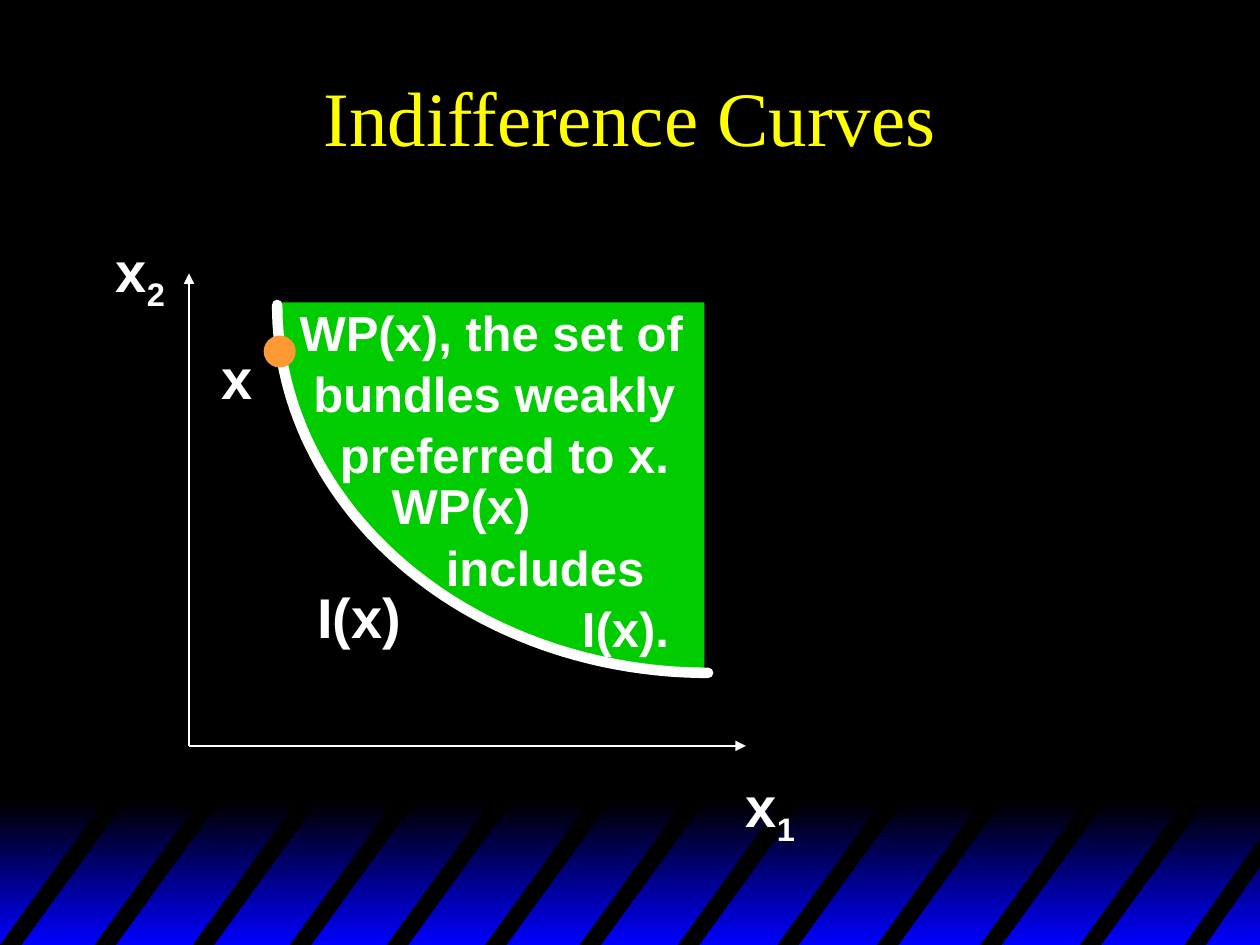
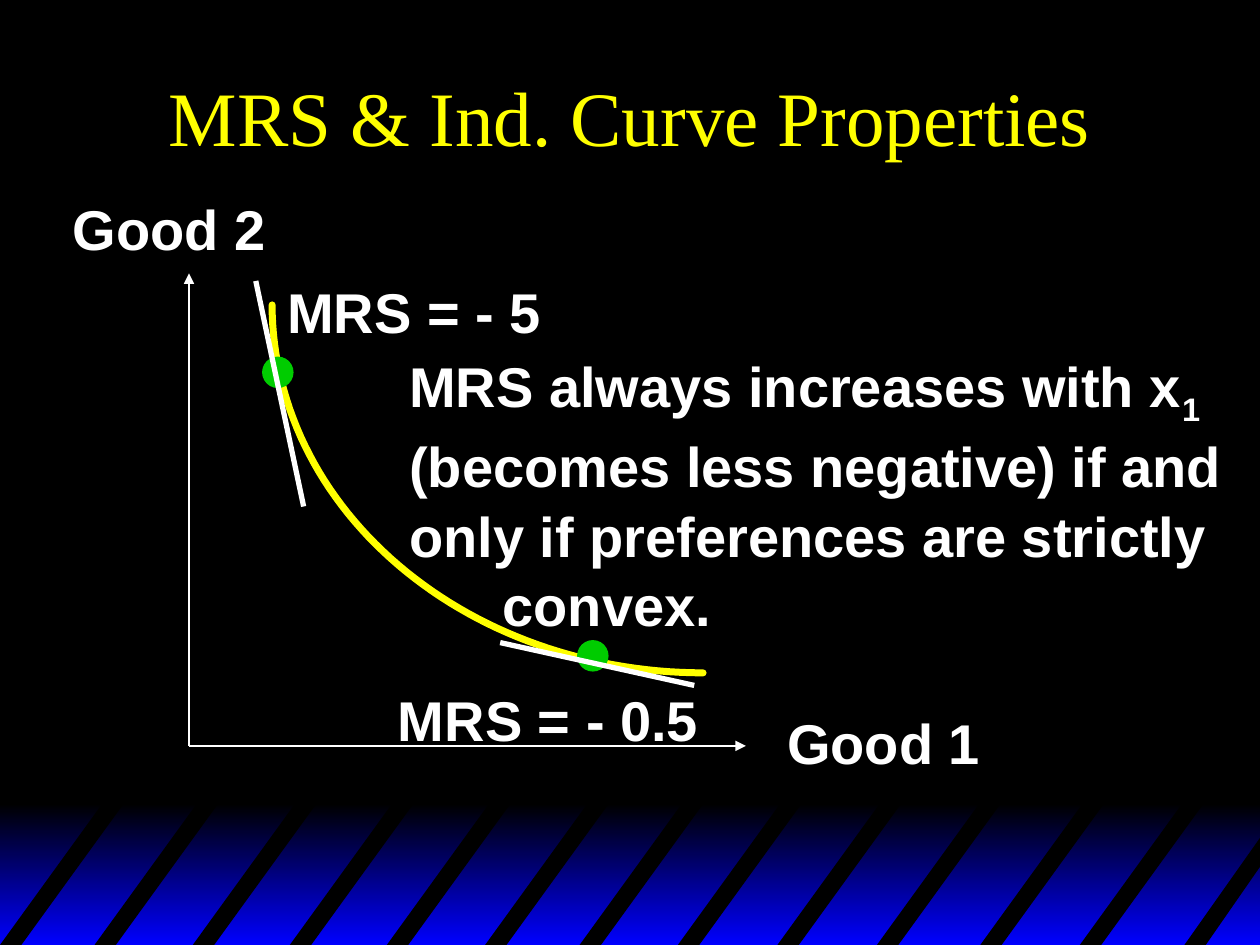
"""Build two slides on indifference curves and the marginal rate of substitution."""
from dataclasses import dataclass
from math import cos, pi, sin

from lxml import etree
from pptx import Presentation
from pptx.dml.color import RGBColor
from pptx.enum import shapes, text
from pptx.oxml import ns
from pptx.util import Inches, Pt


@dataclass(frozen=True)
class Theme:
    black: RGBColor = RGBColor(0x00, 0x00, 0x00)
    blue: RGBColor = RGBColor(0x00, 0x00, 0xFF)
    white: RGBColor = RGBColor(0xFF, 0xFF, 0xFF)
    yellow: RGBColor = RGBColor(0xFF, 0xFF, 0x00)
    green: RGBColor = RGBColor(0x00, 0xCC, 0x00)
    orange: RGBColor = RGBColor(0xFF, 0x99, 0x33)
    title_font: str = "Times New Roman"
    label_font: str = "Arial"
    title_size: int = 44
    label_size: int = 32
    note_size: int = 28
    line_spacing: float = 1.04


STRIPE_LEFTS = (0, 0.75, 1.53, 2.3, 3.07, 3.85, 4.6, 5.38, 6.17, 6.96, 7.78, 8.57)
CURVE_TOP, CURVE_WIDTH, CURVE_HEIGHT = 2.42, 3.42, 2.92
ORIGIN = (1.5, 5.92)
PREFERRED_SET = (
    (2.21, 2.4), (2.26, 2.94), (2.4, 3.43), (2.77, 4.07), (3.11, 4.37), (3.47, 4.68),
    (4.09, 5.03), (4.6, 5.21), (5.59, 5.35), (5.59, 2.4),
)


class Deck:
    def __init__(self, theme):
        self.theme = theme
        self.prs = Presentation()
        self.prs.slide_width, self.prs.slide_height = Inches(10), Inches(7.5)
        self.s = None

    def add_slide(self, title):
        self.s = self.prs.slides.add_slide(self.prs.slide_layouts[5])
        sp = self.s.shapes.title
        self.place(sp, 0.75, 0.25, 8.5, 1.33)
        tf = sp.text_frame
        tf.vertical_anchor = text.MSO_ANCHOR.MIDDLE
        p = tf.paragraphs[0]
        p.alignment = text.PP_ALIGN.CENTER
        r = p.add_run()
        r.text = title
        t = self.theme
        self.format_run(r, t.yellow, name=t.title_font, size=Pt(t.title_size))

    def place(self, sp, *box):
        for name, value in zip(("left", "top", "width", "height"), box):
            setattr(sp, name, Inches(value))

    def format_run(self, r, color, **values):
        for name, value in values.items():
            setattr(r.font, name, value)
        r.font.color.rgb = color

    def paint(self, sp, fill=None, line=None, width=1):
        sp.shadow.inherit = False
        if fill is None:
            sp.fill.background()
        else:
            sp.fill.solid()
            sp.fill.fore_color.rgb = fill
        if line is None:
            sp.line.fill.background()
        else:
            sp.line.color.rgb = line
            sp.line.width = Pt(width)

    def add_band(self):
        t = self.theme
        fill = self.prs.slide_master.background.fill
        fill.solid()
        fill.fore_color.rgb = t.black
        group = self.s.shapes.add_group_shape()
        band = group.shapes.add_shape(
            shapes.MSO_SHAPE.RECTANGLE, 0, Inches(6.38), Inches(10), Inches(1.12))
        self.paint(band, t.black)
        band.fill.gradient()
        band.fill.gradient_angle = 270
        for stop, color in zip(band.fill.gradient_stops, (t.black, t.blue)):
            stop.color.rgb = color
        for x in STRIPE_LEFTS:
            points = ((x, 7.5), (x + 0.84, 6.34), (x + 1.01, 6.34), (x + 0.17, 7.5))
            self.add_polygon(points, t.black, group)
        self.add_polygon(((9.4, 7.5), (10, 6.65), (10, 6.88), (9.57, 7.5)), t.black, group)
        self.prs.slide_master.shapes.element.insert(2, group.element)

    def add_freeform(self, points, close, parent=None):
        start, *rest = [(Inches(x), Inches(y)) for x, y in points]
        builder = (parent or self.s).shapes.build_freeform(*start)
        builder.add_line_segments(rest, close=close)
        return builder.convert_to_shape()

    def add_polygon(self, points, fill, parent=None):
        self.paint(self.add_freeform(points, True, parent), fill)

    def add_curve(self, left, color, width, steps=60):
        angles = [i * pi / 2 / steps for i in range(steps + 1)]
        points = [(left + CURVE_WIDTH * (1 - cos(a)), CURVE_TOP + CURVE_HEIGHT * sin(a))
                  for a in angles]
        sp = self.add_freeform(points, False)
        self.paint(sp, line=color, width=width)
        ln = sp.element.spPr.find(ns.qn("a:ln"))
        ln.set("cap", "rnd")
        etree.SubElement(ln, ns.qn("a:round"))

    def add_line(self, start, end, width=1, arrow=False):
        c = self.s.shapes.add_connector(
            shapes.MSO_CONNECTOR.STRAIGHT, *(Inches(v) for v in (*start, *end)))
        c.line.color.rgb = self.theme.white
        c.line.width = Pt(width)
        spPr = c.element.spPr
        if arrow:
            etree.SubElement(spPr.find(ns.qn("a:ln")), ns.qn("a:tailEnd"), type="triangle")
        etree.SubElement(spPr, ns.qn("a:effectLst"))

    def add_axes(self):
        for end in ((1.5, 2.17), (5.92, 5.92)):
            self.add_line(ORIGIN, end, arrow=True)

    def add_dot(self, left, top, size, fill, line=None):
        sp = self.s.shapes.add_shape(
            shapes.MSO_SHAPE.OVAL, *(Inches(v) for v in (left, top, size, size)))
        self.paint(sp, fill, line)

    def add_text(self, box, *lines, size=None, wrap=False):
        """Add lines given as text or (indent, text); underscores enclose subscripts."""
        t = self.theme
        tf = self.s.shapes.add_textbox(*(Inches(v) for v in box)).text_frame
        tf.word_wrap = wrap
        for i, line in enumerate(lines):
            indent, content = (0, line) if isinstance(line, str) else line
            p = tf.add_paragraph() if i else tf.paragraphs[0]
            p.line_spacing = t.line_spacing
            if indent:
                pPr = p._p.get_or_add_pPr()
                pPr.set("marL", str(Inches(indent)))
                pPr.set("indent", "0")
            for j, part in enumerate(content.split("_")):
                if not part:
                    continue
                r = p.add_run()
                r.text = part
                self.format_run(r, t.white, name=t.label_font,
                                size=Pt(size or t.label_size), bold=True)
                if j % 2:
                    r._r.get_or_add_rPr().set("baseline", "-25000")


def main():
    t = Theme()
    d = Deck(t)

    d.add_slide("Indifference Curves")
    d.add_band()
    d.add_polygon(PREFERRED_SET, t.green)
    d.add_axes()
    d.add_text((0.82, 1.8, 0.59, 0.71), "x_2_")
    d.add_text((5.82, 6.05, 0.59, 0.71), "x_1_")
    d.add_curve(2.2, t.white, 6)
    d.add_dot(2.1, 2.67, 0.24, t.orange, t.orange)
    d.add_text((2.28, 2.33, 4.5, 1.5), "WP(x), the set of", (0.11, "bundles weakly"),
               (0.32, "preferred to x."), size=t.note_size, wrap=True)
    d.add_text((2.79, 3.71, 2.62, 1.5), (0.22, "WP(x)"), (0.65, "includes"),
               (1.73, "I(x)."), size=t.note_size, wrap=True)
    d.add_text((1.66, 2.66, 0.72, 0.63), "x", wrap=True)
    d.add_text((2.42, 4.55, 1.08, 0.63), "I(x)", wrap=True)

    d.add_slide("MRS & Ind. Curve Properties")
    d.add_axes()
    d.add_curve(2.16, t.yellow, 4)
    d.add_text((0.48, 1.47, 1.74, 0.63), "Good 2")
    d.add_text((6.15, 5.55, 1.74, 0.63), "Good 1")
    for left, top in ((4.58, 5.08), (2.08, 2.83)):
        d.add_dot(left, top, 0.25, t.green)
    for start, end in (((2.03, 2.23), (2.41, 4.02)), ((3.97, 5.1), (5.51, 5.44))):
        d.add_line(start, end, 3)
    d.add_text((2.18, 2.13, 2.22, 0.63), "MRS = - 5")
    d.add_text((3.06, 5.37, 2.59, 0.63), "MRS = - 0.5")
    d.add_text((3.15, 2.72, 6.77, 2.31),
               "MRS always increases with x_1_ (becomes less negative) if and "
               "only if preferences are strictly", (0.74, "convex."), wrap=True)

    d.prs.save("out.pptx")


if __name__ == "__main__":
    main()
